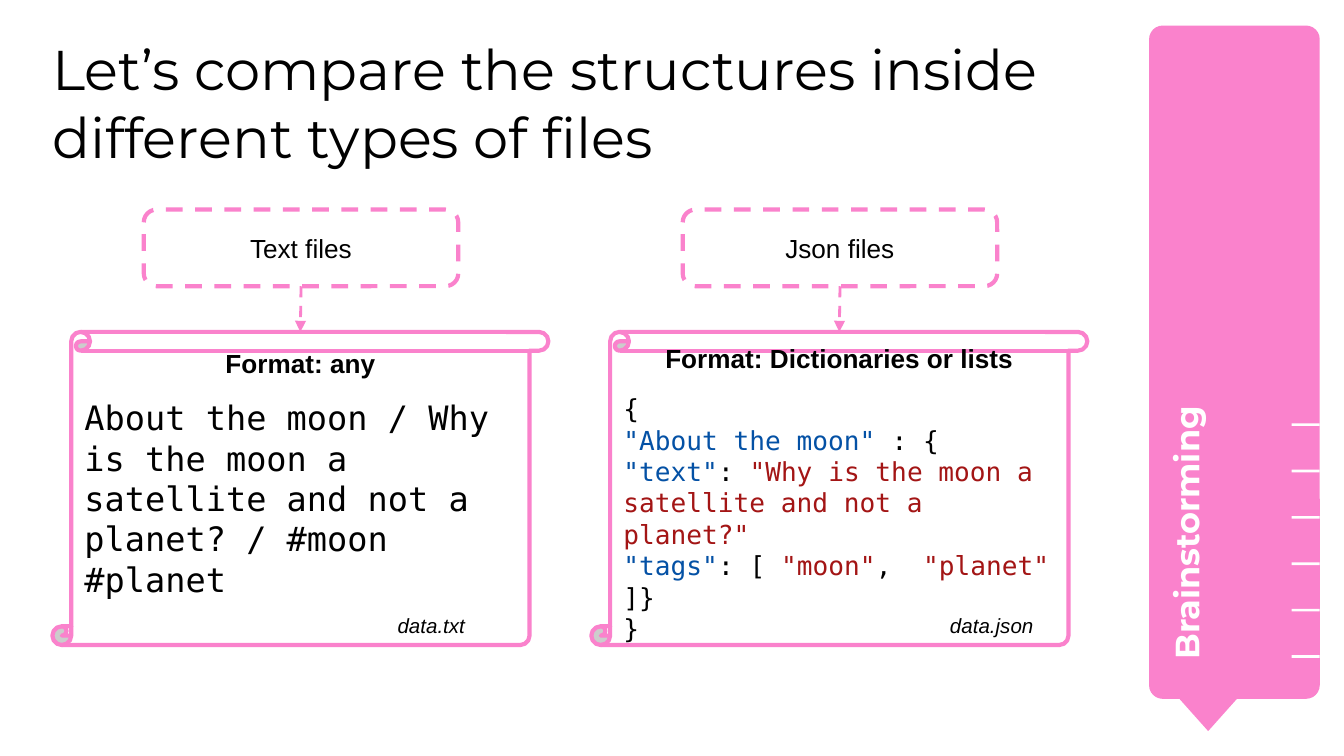
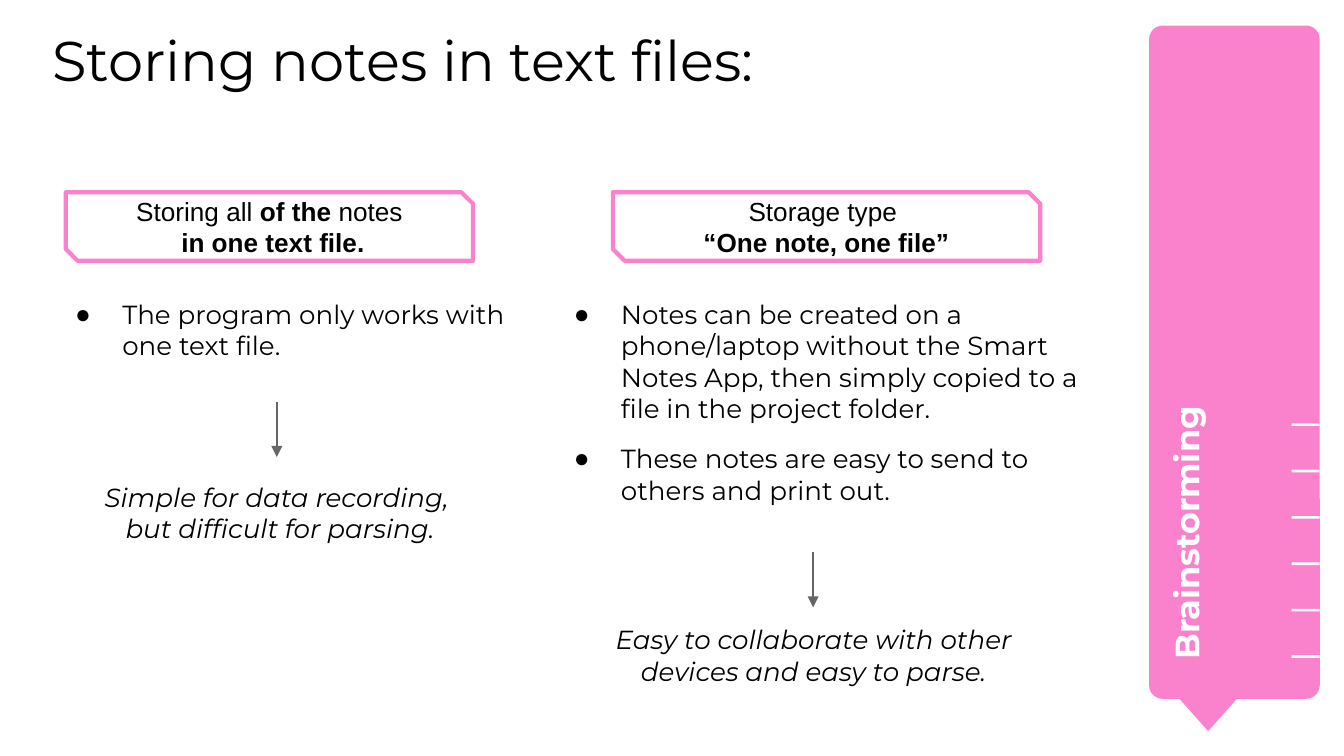
from copy import deepcopy

from lxml.etree import SubElement
from pptx import Presentation
from pptx.dml.color import RGBColor
from pptx.enum.dml import MSO_LINE
from pptx.enum.shapes import MSO_CONNECTOR, MSO_SHAPE
from pptx.enum.text import MSO_ANCHOR, MSO_AUTO_SIZE, PP_ALIGN
from pptx.oxml.ns import qn
from pptx.util import Inches, Pt

PINK, WHITE, BLACK, GREY = "FA82CC", "FFFFFF", "000000", "666666"
KEY, VALUE = {"color": "0451A5"}, {"color": "A31515"}
BOLD = {"bold": True}

TITLE = {"size": Pt(30), "name": "Montserrat"}
BODY = {"size": Pt(14), "name": "Montserrat"}
LABEL = {"size": Pt(14), "name": "Arial"}
FILE_NAME = {"size": Pt(11), "name": "Arial", "italic": True}
SIDE = {"size": Pt(18), "name": "Montserrat", "bold": True, "color": WHITE}
CODE = {"name": "DejaVu Sans Mono", "bold": False}


def draw(s, kind, box, fill, line=None, adj=()):
    """Add a preset shape with a plain fill and an optional 2.25 pt outline."""
    sp = s.shapes.add_shape(kind, *map(Inches, box))
    sp.shadow.inherit = False
    sp.fill.solid()
    sp.fill.fore_color.rgb = RGBColor.from_string(fill)
    if line:
        sp.line.color.rgb = RGBColor.from_string(line)
        sp.line.width = Pt(2.25)
    else:
        sp.line.fill.background()
    for i, value in enumerate(adj):
        sp.adjustments[i] = value
    return sp


def write(sp, paragraphs, fmt, align=PP_ALIGN.LEFT, anchor=MSO_ANCHOR.TOP,
          inset=0.1, box=None):
    """Fill a shape; each paragraph is a list of (text, format changes)."""
    if box:
        for name, value in zip(("left", "top", "width", "height"), box):
            setattr(sp, name, Inches(value))
    tf = sp.text_frame
    tf.word_wrap = True
    tf.auto_size = MSO_AUTO_SIZE.NONE
    tf.vertical_anchor = anchor
    for side in ("left", "top", "right", "bottom"):
        setattr(tf, f"margin_{side}", Inches(inset))
    for i, runs in enumerate(paragraphs):
        p = tf.add_paragraph() if i else tf.paragraphs[0]
        p.alignment = align
        p.space_before = Pt(0)
        for text, changes in runs:
            if text == "\n":  # a line break keeps the format of the run before
                p.add_line_break()
                p._p[-1].append(deepcopy(r._r.rPr))
                continue
            r = p.add_run()
            r.text = text
            for name, value in {"color": BLACK, **fmt, **changes}.items():
                if name == "color":
                    r.font.color.rgb = RGBColor.from_string(value)
                else:
                    setattr(r.font, name, value)
    return tf


prs = Presentation()
prs.slide_width = Inches(10)
prs.slide_height = prs.slide_width * 9 // 16
arrows = []  # slide, start, end, colour, width, dash, joined shapes

# Shared parts: title and side ruler
titles = [
    (5, "Let’s compare the structures inside different types of files",
     (0.39, 0.26, 7.94, 0.69)),
    (3, "Storing notes in text files:", (0.39, 0.19, 7.94, 1.35)),
]
for layout, title, box in titles:
    s = prs.slides.add_slide(prs.slide_layouts[layout])
    write(s.shapes.title, [[(title, {})]], TITLE, inset=0, box=box)
    draw(s, MSO_SHAPE.ROUNDED_RECTANGLE, (8.55, 0.19, 1.27, 5.01), PINK, adj=[0.08])
    draw(s, MSO_SHAPE.FLOWCHART_MERGE, (8.66, 5.07, 0.66, 0.37), PINK)
    for i in range(6):
        draw(s, MSO_SHAPE.RECTANGLE, (9.61, 3.15 + i * 0.345, 0.21, 0.02), WHITE)
    sp = s.shapes.add_textbox(*map(Inches, (7.14, 2.9, 3.54, 0.67)))
    sp.rotation = 270
    write(sp, [[("Brainstorming", {})]], SIDE)

compare, storing = prs.slides

# Slide 1: two file types, each with a scroll of sample content
TXT = {**CODE, "size": Pt(18)}
files = [
    (0.39, "Text files", "data.txt", 2.86, "Format: any", TXT, 0.4, [
        [("About the moon / Why is the moon a satellite and not a planet? "
          "/ #moon #planet", {})],
    ]),
    (4.4, "Json files", "data.json", 6.97, "Format: Dictionaries or lists", CODE, 0.1, [
        [("{", {})],
        [('"About the moon" ', KEY), (": {", {})],
        [('"text"', KEY), (":", {}),
         (' "Why is the moon a satellite and not a planet?"', VALUE)],
        [('"tags"', KEY), (": [", {}), (' "moon"', VALUE), (", ", {}),
         (' "planet" ', VALUE), ("]}", {})],
        [("}", {})],
    ]),
]
for x, name, file_name, name_x, heading, code, bottom, lines in files:
    label = draw(compare, MSO_SHAPE.ROUNDED_RECTANGLE, (x + 0.68, 1.56, 2.34, 0.57),
                 WHITE, PINK)
    label.line.dash_style = MSO_LINE.DASH
    write(label, [[(name, {})]], LABEL, PP_ALIGN.CENTER, MSO_ANCHOR.MIDDLE)

    scroll = draw(compare, MSO_SHAPE.VERTICAL_SCROLL, (x, 2.47, 3.69, 2.33),
                  WHITE, PINK, [0.06])
    code_lines = [[(text, {**code, **color}) for text, color in line] for line in lines]
    tf = write(scroll, [[(heading, BOLD)]] + code_lines, LABEL,
               PP_ALIGN.CENTER, MSO_ANCHOR.MIDDLE)
    tf.margin_bottom = Inches(bottom)
    for p in tf.paragraphs[1:]:
        p.alignment = PP_ALIGN.LEFT
    tf.paragraphs[1].space_before = Pt(10)

    sp = compare.shapes.add_textbox(*map(Inches, (name_x, 4.46, 1.03, 0.3)))
    write(sp, [[(file_name, {})]], FILE_NAME)
    middle = x + 1.85
    arrows.append((compare, (middle, 2.13), (middle, 2.47), PINK, 1.5,
                   MSO_LINE.DASH, (label, scroll)))

# Slide 2: two ways of storing, each with a list and a conclusion
ways = [
    ((0.49, 1.43, 3.03, 0.51),
     [[("Storing all", {}), (" of the ", BOLD), ("notes", {}), ("\n", {}),
       (" in one text file.", BOLD)]],
     (0.31, 2.12, 3.55, 0.95),
     ["The program only works with one text file."],
     (2.06, 2.99),
     (0.31, 3.48, 3.55, 0.95),
     ["Simple for data recording, ", "but difficult for parsing."]),
    ((4.56, 1.43, 3.18, 0.51),
     [[("Storage type ", {})], [("“One note, one file”", BOLD)]],
     (4.02, 2.12, 4.35, 1.97),
     ["Notes can be created on a phone/laptop without the Smart Notes App, "
      "then simply copied to a file in the project folder.",
      "These notes are easy to send to others and print out."],
     (6.05, 4.11),
     (4.28, 4.54, 3.55, 0.69),
     ["Easy to collaborate with other devices and easy to parse."]),
]
for i, way in enumerate(ways):
    head_box, heading, list_box, items, (x, y), end_box, conclusion = way
    sp = draw(storing, MSO_SHAPE.SNIP_2_DIAG_RECTANGLE, head_box, WHITE, PINK, [0, 0.17])
    write(sp, heading, LABEL, PP_ALIGN.CENTER, MSO_ANCHOR.MIDDLE)

    tf = write(storing.placeholders[i + 1], [[(item, {})] for item in items],
               BODY, box=list_box)
    for n, p in enumerate(tf.paragraphs):
        p.space_before = Pt(10 if n else 0)
        pPr = p._p.get_or_add_pPr()
        pPr.set("marL", str(Inches(0.5)))
        pPr.set("indent", str(Inches(-0.35)))
        SubElement(SubElement(pPr, qn("a:buClr")), qn("a:srgbClr")).set("val", BLACK)
        SubElement(pPr, qn("a:buChar")).set("char", "●")

    sp = storing.shapes.add_textbox(*map(Inches, end_box))
    write(sp, [[(line, {"italic": True})] for line in conclusion], BODY, PP_ALIGN.CENTER)
    arrows.append((storing, (x, y), (x, y + 0.41), GREY, 0.75, None, None))

# Arrows of both slides
for s, start, end, color, width, dash, joined in arrows:
    c = s.shapes.add_connector(MSO_CONNECTOR.STRAIGHT, *map(Inches, start + end))
    if joined:
        c.begin_connect(joined[0], 2)
        c.end_connect(joined[1], 0)
    c.line.color.rgb = RGBColor.from_string(color)
    c.line.width = Pt(width)
    if dash:
        c.line.dash_style = dash
    SubElement(c.line._get_or_add_ln(), qn("a:tailEnd")).set("type", "triangle")
    SubElement(c._element.spPr, qn("a:effectLst"))

prs.save("out.pptx")
